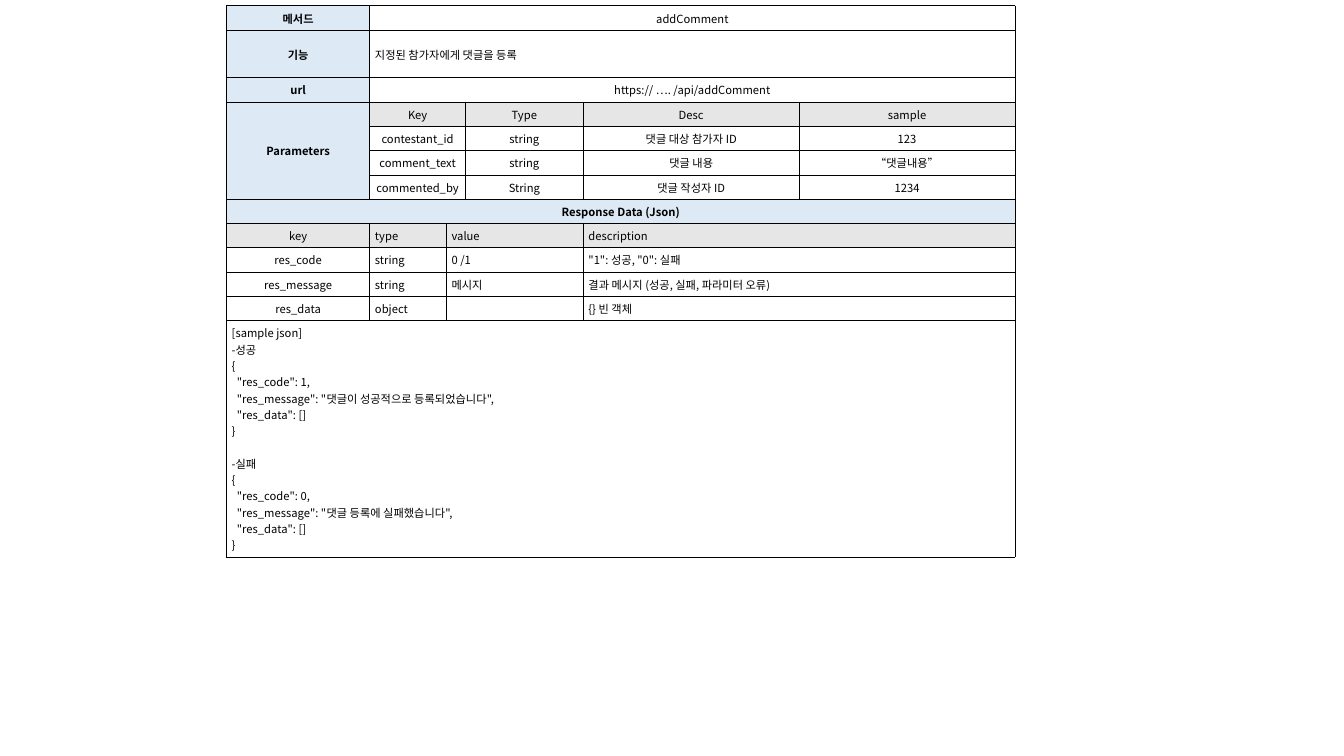
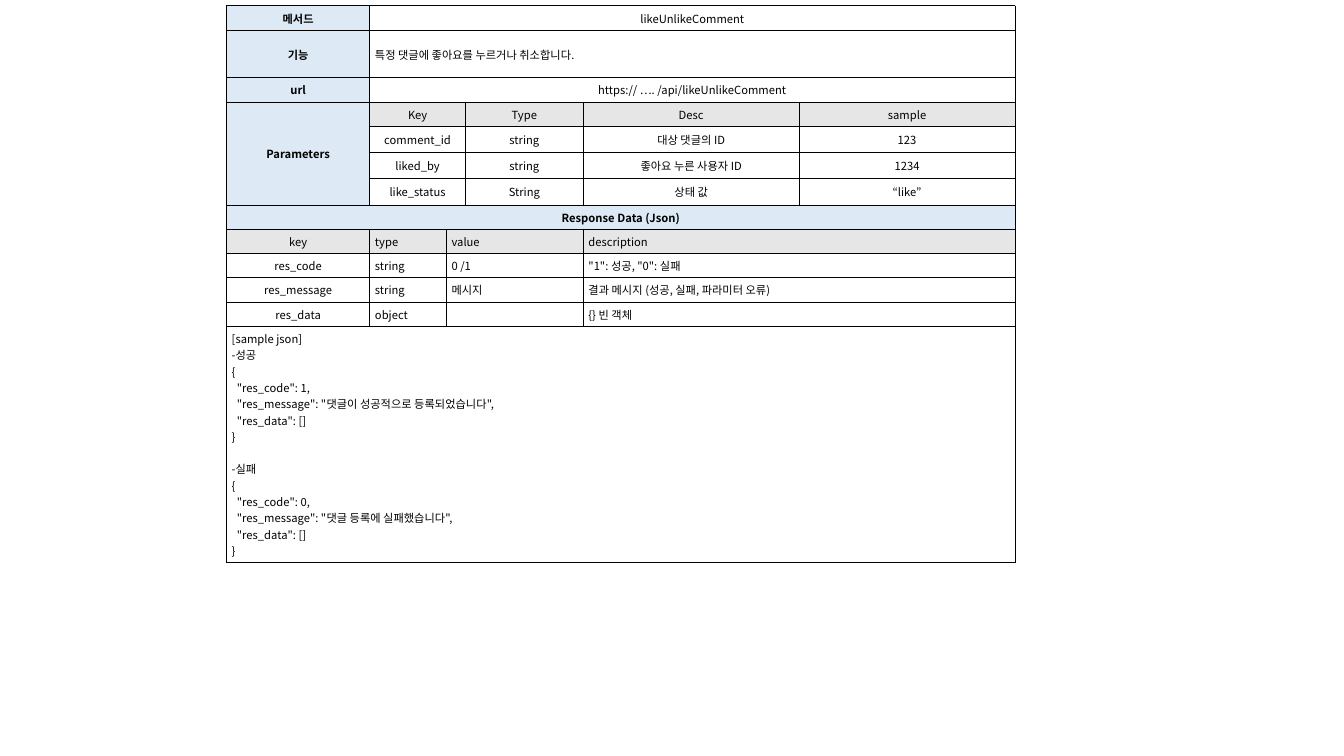
from lxml import etree
from pptx import Presentation
from pptx.dml.color import RGBColor
from pptx.enum.text import MSO_ANCHOR, PP_ALIGN
from pptx.oxml.ns import qn
from pptx.util import Cm, Pt

LEFT, CENTER = PP_ALIGN.LEFT, PP_ALIGN.CENTER
TOP, MIDDLE = MSO_ANCHOR.TOP, MSO_ANCHOR.MIDDLE

FONT = "Noto Sans CJK KR"
TEXT_SIZE = Pt(8)
BLACK, WHITE, BLUE, GRAY = "000000", "FFFFFF", "DDEAF6", "E7E6E6"

TABLE_LEFT, TABLE_TOP = 5.71, 0.15
COLUMN_WIDTHS = [3.61, 1.93, 0.48, 2.97, 5.44, 5.44]
ROW_HEIGHT, PURPOSE_HEIGHT, SAMPLE_HEIGHT = 0.61, 1.2, 5.94
SIDE_MARGIN, EDGE_MARGIN = Cm(0.13), Cm(0.1)
JSON_INDENT = Cm(0.13)
JSON_GAP = Pt(11.6)

# Starting columns of the cells in each kind of row
PARAMETER_COLUMNS = (1, 3, 4, 5)
RESPONSE_COLUMNS = (0, 1, 2, 4)

METHODS = [
    {
        "name": "addComment",
        "purpose": "지정된 참가자에게 댓글을 등록",
        "parameters": [
            ("contestant_id", "string", "댓글 대상 참가자 ID", "123"),
            ("comment_text", "string", "댓글 내용", "“댓글내용”"),
            ("commented_by", "String", "댓글 작성자 ID", "1234"),
        ],
        "parameter_height": 0.61,
    },
    {
        "name": "likeUnlikeComment",
        "purpose": "특정 댓글에 좋아요를 누르거나 취소합니다.",
        "parameters": [
            ("comment_id", "string", "대상 댓글의 ID", "123"),
            ("liked_by", "string", "좋아요 누른 사용자 ID", "1234"),
            ("like_status", "String", "상태 값", "“like”"),
        ],
        "parameter_height": 0.66,
    },
]
PARAMETER_HEADS = ("Key", "Type", "Desc", "sample")
RESPONSE_HEADS = ("key", "type", "value", "description")
RESPONSES = [
    ("res_code", "string", "0 /1", '"1": 성공, "0": 실패'),
    ("res_message", "string", "메시지", "결과 메시지 (성공, 실패, 파라미터 오류)"),
    ("res_data", "object", "", "{} 빈 객체"),
]
SAMPLES = [
    ("-성공", 1, "댓글이 성공적으로 등록되었습니다"),
    ("-실패", 0, "댓글 등록에 실패했습니다"),
]


def rgb(color):
    return RGBColor.from_string(color)


def set_borders(cell):
    properties = cell._tc.get_or_add_tcPr()
    for position, side in enumerate(("lnL", "lnR", "lnT", "lnB")):
        line = etree.Element(qn(f"a:{side}"), w=str(Pt(0.75)))
        fill = etree.SubElement(line, qn("a:solidFill"))
        etree.SubElement(fill, qn("a:srgbClr"), val=BLACK)
        properties.insert(position, line)


def add_text(para, text, bold=False):
    if not text:
        etree.SubElement(para._p, qn("a:endParaRPr"), sz=str(int(TEXT_SIZE.pt * 100)))
        return
    span = para.add_run()
    span.text = text
    span.font.name = FONT
    span.font.size = TEXT_SIZE
    span.font.bold = bold
    span.font.color.rgb = rgb(BLACK)
    etree.SubElement(span._r.get_or_add_rPr(), qn("a:ea"), typeface=FONT)


def fill_cell(cell, text, fill=WHITE, align=CENTER, bold=False):
    cell.fill.solid()
    cell.fill.fore_color.rgb = rgb(fill)
    para = cell.text_frame.paragraphs[0]
    para.alignment = align
    add_text(para, text, bold)


def fill_row(table, row, starts, texts, fill=WHITE, aligns=(CENTER,) * 4):
    """Write one text per starting column, each reaching to the next start."""
    ends = [*starts[1:], len(COLUMN_WIDTHS)]
    for start, end, text, align in zip(starts, ends, texts, aligns):
        cell = table.cell(row, start)
        if end - start > 1:
            cell.merge(table.cell(row, end - 1))
        fill_cell(cell, text, fill, align)


def fill_sample(cell):
    fill_cell(cell, "[sample json]", align=LEFT)
    cell.vertical_anchor = TOP
    for index, (title, code, message) in enumerate(SAMPLES):
        fields = [f'"res_code": {code},', f'"res_message": "{message}",', '"res_data": []']
        for text in (title, "{", *fields, "}"):
            para = cell.text_frame.add_paragraph()
            if text in fields:
                para._p.get_or_add_pPr().set("marL", str(JSON_INDENT))
            if text == title and index:
                para.space_before = JSON_GAP
            add_text(para, text)


def add_method_table(page, method):
    parameters = method["parameters"]
    heights = [ROW_HEIGHT, PURPOSE_HEIGHT, ROW_HEIGHT, ROW_HEIGHT]
    heights += [method["parameter_height"]] * len(parameters)
    heights += [ROW_HEIGHT] * (2 + len(RESPONSES)) + [SAMPLE_HEIGHT]
    table = page.shapes.add_table(
        len(heights), len(COLUMN_WIDTHS), Cm(TABLE_LEFT), Cm(TABLE_TOP),
        Cm(sum(COLUMN_WIDTHS)), Cm(sum(heights))).table
    table.first_row = table.horz_banding = False
    for column, width in zip(table.columns, COLUMN_WIDTHS):
        column.width = Cm(width)
    for row, height in zip(table.rows, heights):
        row.height = Cm(height)
    for cell in table.iter_cells():
        cell.margin_left = cell.margin_right = SIDE_MARGIN
        cell.margin_top = cell.margin_bottom = EDGE_MARGIN
        cell.vertical_anchor = MIDDLE
        set_borders(cell)

    summary = [
        ("메서드", method["name"], CENTER),
        ("기능", method["purpose"], LEFT),
        ("url", f"https:// …. /api/{method['name']}", CENTER),
    ]
    for row, (label, text, align) in enumerate(summary):
        fill_cell(table.cell(row, 0), label, BLUE, bold=True)
        fill_row(table, row, (1,), (text,), aligns=(align,))

    head_row = len(summary)
    response_row = head_row + 1 + len(parameters)
    label_cell = table.cell(head_row, 0)
    label_cell.merge(table.cell(response_row - 1, 0))
    fill_cell(label_cell, "Parameters", BLUE, bold=True)
    fill_row(table, head_row, PARAMETER_COLUMNS, PARAMETER_HEADS, GRAY)
    for row, texts in enumerate(parameters, head_row + 1):
        fill_row(table, row, PARAMETER_COLUMNS, texts)

    last_column = len(COLUMN_WIDTHS) - 1
    band = table.cell(response_row, 0)
    band.merge(table.cell(response_row, last_column))
    fill_cell(band, "Response Data (Json)", BLUE, bold=True)
    for row, texts in enumerate([RESPONSE_HEADS, *RESPONSES], response_row + 1):
        fill = GRAY if texts is RESPONSE_HEADS else WHITE
        fill_row(table, row, RESPONSE_COLUMNS, texts, fill, (CENTER, LEFT, LEFT, LEFT))

    sample_row = len(heights) - 1
    sample = table.cell(sample_row, 0)
    sample.merge(table.cell(sample_row, last_column))
    fill_sample(sample)


def main():
    deck = Presentation()
    deck.slide_width, deck.slide_height = Cm(33.87), Cm(19.05)
    for method in METHODS:
        page = deck.slides.add_slide(deck.slide_layouts[6])
        add_method_table(page, method)
    deck.save("out.pptx")


if __name__ == "__main__":
    main()
